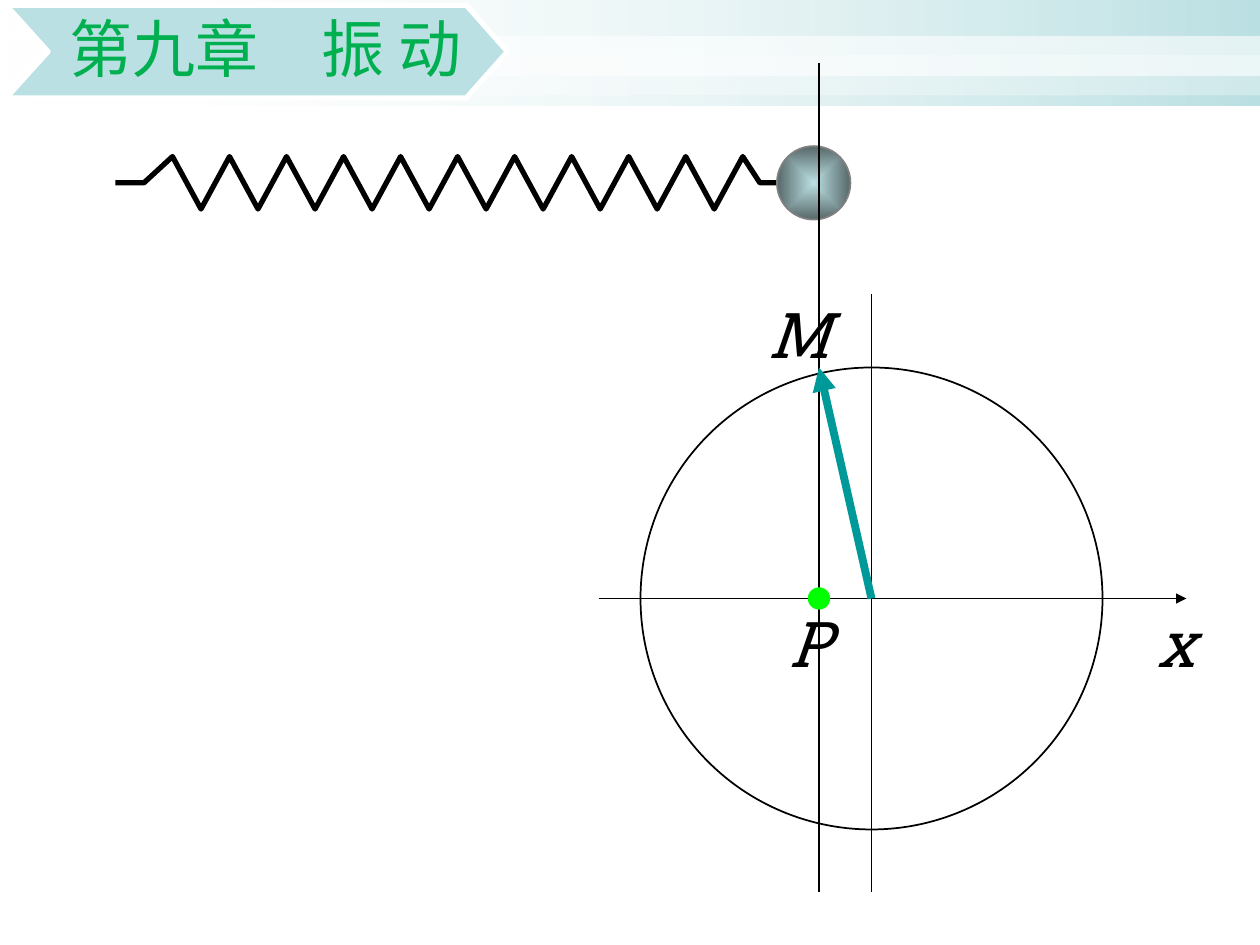
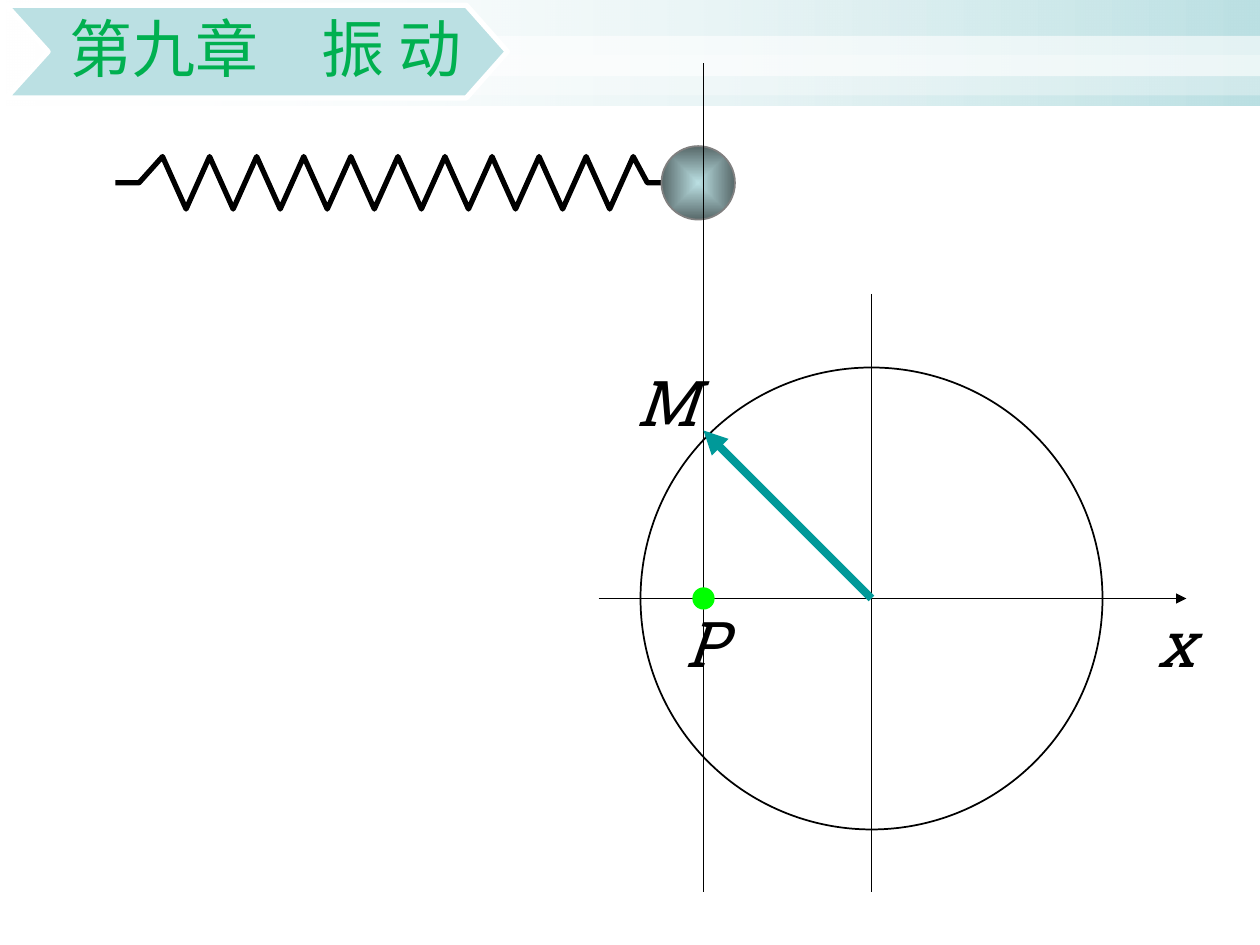
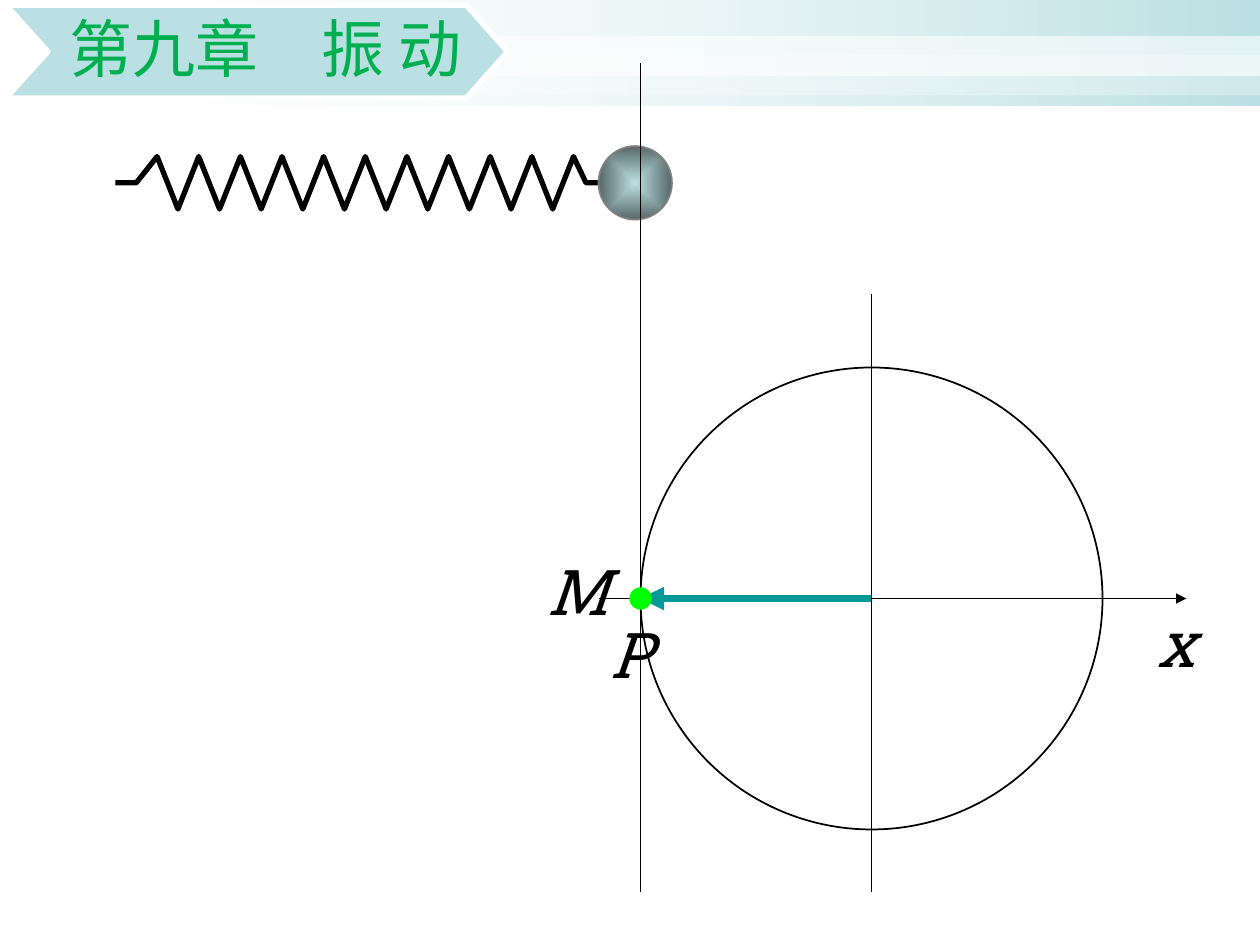
from dataclasses import dataclass

from lxml import etree
from pptx import Presentation
from pptx.dml.color import RGBColor as RGB
from pptx.enum.shapes import MSO_CONNECTOR as CONN, MSO_SHAPE as SHAPE
from pptx.enum.text import MSO_ANCHOR as ANCHOR, MSO_AUTO_SIZE as FIT, PP_ALIGN as ALIGN
from pptx.oxml.ns import qn
from pptx.util import Pt


@dataclass(frozen=True)
class Theme:
    black: RGB = RGB(0, 0, 0)
    white: RGB = RGB(255, 255, 255)
    pale: RGB = RGB.from_string("BBE0E3")
    ball_edge: RGB = RGB.from_string("576869")
    gray: RGB = RGB.from_string("808080")
    teal: RGB = RGB.from_string("009999")
    dot: RGB = RGB.from_string("00FF00")
    title: RGB = RGB.from_string("00B050")
    title_font: str = "Calibri"
    label_font: str = "Roboto Slab"
    size: int = 36
    thin: float = 1
    thick: float = 3
    vector: float = 4.5


@dataclass(frozen=True)
class Moment:
    """One instant of the motion: projection x, tip height and label corners."""
    x: float
    tip_y: float
    m_at: tuple
    p_at: tuple


CHAPTER = "第九章　振 动"
RIBBON = [(3.5, 3), (266.5, 3), (290, 29.5), (266.5, 56), (3.5, 56), (27.5, 29.5)]
CENTER_X, CENTER_Y, RADIUS = 498, 342, 132
AXIS_TOP, AXIS_BOTTOM = 168, 510
SPRING_X, SPRING_Y, SPRING_AMP = 66, 104.5, 15
BALL = 42
DOT = 12
MOMENTS = [
    Moment(468, 210, (432, 165.5), (444, 342)),
    Moment(402, 246, (356.5, 204), (384.5, 342)),
    Moment(366, 342, (306, 312), (342, 348)),
]


def set_alpha(fill_element, *percents):
    for clr, percent in zip(fill_element.iter(qn("a:srgbClr")), percents):
        etree.SubElement(clr, qn("a:alpha")).set("val", str(percent * 1000))


class Deck:
    def __init__(self, theme):
        self.t = theme
        self.prs = Presentation()
        self.prs.slide_width, self.prs.slide_height = Pt(720), Pt(540)
        self.layout = self.prs.slide_layouts[5]
        self.slide = None

    def new_slide(self):
        self.slide = self.prs.slides.add_slide(self.layout)

    def outline(self, sp, color=None, width=1):
        sp.shadow.inherit = False
        if color is None:
            sp.line.fill.background()
        else:
            sp.line.color.rgb = color
            sp.line.width = Pt(width)

    def shape(self, kind, x, y, w, h, fill=None, line=None, width=1):
        sp = self.slide.shapes.add_shape(kind, Pt(x), Pt(y), Pt(w), Pt(h))
        self.outline(sp, line, width)
        if fill is None:
            sp.fill.background()
        else:
            sp.fill.solid()
            sp.fill.fore_color.rgb = fill
        return sp

    def gradient(self, sp, first, last, radial=False):
        sp.fill.gradient()
        for stop, color in zip(sp.fill.gradient_stops, (first, last)):
            stop.color.rgb = color
        sp.fill.gradient_angle = 0
        grad = sp.element.spPr.find(qn("a:gradFill"))
        if radial:
            grad.remove(grad.find(qn("a:lin")))
            way = etree.SubElement(grad, qn("a:path"), path="rect")
            etree.SubElement(way, qn("a:fillToRect"), dict.fromkeys("ltrb", "50000"))
        return grad

    def outline_path(self, points, line, width, fill=None):
        """Draw a polyline, closed when it has a fill."""
        pts = [(Pt(x), Pt(y)) for x, y in points]
        builder = self.slide.shapes.build_freeform(*pts[0], scale=1.0)
        builder.add_line_segments(pts[1:], close=fill is not None)
        sp = builder.convert_to_shape()
        self.outline(sp, line, width)
        if fill is None:
            sp.fill.background()
        else:
            sp.fill.solid()
            sp.fill.fore_color.rgb = fill

    def line(self, x1, y1, x2, y2, color=None, width=None, arrow=False):
        cn = self.slide.shapes.add_connector(
            CONN.STRAIGHT, Pt(x1), Pt(y1), Pt(x2), Pt(y2))
        cn.line.color.rgb = color or self.t.black
        cn.line.width = Pt(width or self.t.thin)
        if arrow:
            etree.SubElement(cn.line._get_or_add_ln(), qn("a:tailEnd"), type="triangle")
        etree.SubElement(cn.element.spPr, qn("a:effectLst"))

    def run(self, p, text, font, color, italic=False):
        r = p.add_run()
        r.text = text
        r.font.name, r.font.size = font, Pt(self.t.size)
        r.font.color.rgb, r.font.italic = color, italic

    def label(self, text, x, y, w):
        tf = self.slide.shapes.add_textbox(Pt(x), Pt(y), Pt(w), Pt(50.5)).text_frame
        tf.word_wrap = False
        tf.auto_size = FIT.SHAPE_TO_FIT_TEXT
        self.run(tf.paragraphs[0], text, self.t.label_font, self.t.black, True)

    def title(self, text):
        self.outline_path(RIBBON, self.t.white, self.t.thick, self.t.pale)
        sp = self.slide.shapes.title
        self.slide.shapes._spTree.append(sp.element)
        sp.left, sp.top, sp.width, sp.height = Pt(3.5), Pt(3), Pt(286.5), Pt(53)
        tf = sp.text_frame
        tf.word_wrap, tf.auto_size = True, FIT.NONE
        tf.vertical_anchor = ANCHOR.MIDDLE
        tf.margin_left, tf.margin_right = Pt(30), Pt(26.5)
        tf.margin_top = tf.margin_bottom = Pt(2)
        p = tf.paragraphs[0]
        p.alignment, p.line_spacing = ALIGN.RIGHT, 0.9
        self.run(p, text, self.t.title_font, self.t.title)

    def bands(self):
        """Draw the header bands and move them to the shared layout."""
        header = self.shape(SHAPE.RECTANGLE, 0, 0, 720, 60.5)
        set_alpha(self.gradient(header, self.t.white, self.t.pale), 0, 100)
        bands = [header]
        for y, opacity in ((20.5, 60), (31.5, 31)):
            band = self.shape(SHAPE.RECTANGLE, 0, y, 720, 23, self.t.white)
            set_alpha(band.element.spPr, opacity)
            bands.append(band)
        for i, band in enumerate(bands):
            self.layout.shapes._spTree.insert(2 + i, band.element)

    def spring(self, end_x):
        pitch = (end_x - SPRING_X) / 23.2
        zigzag = [(k, SPRING_AMP if k % 2 else -SPRING_AMP) for k in range(2, 23)]
        steps = [(0, 0), (1, 0), *zigzag, (22.6, 0), (23.2, 0)]
        self.outline_path([(SPRING_X + k * pitch, SPRING_Y + dy) for k, dy in steps],
                          self.t.black, self.t.thick)

    def oscillator(self, x):
        ball_x = x - 24
        self.spring(ball_x)
        ball = self.shape(SHAPE.OVAL, ball_x, SPRING_Y - BALL / 2, BALL, BALL,
                          line=self.t.gray)
        self.gradient(ball, self.t.pale, self.t.ball_edge, radial=True)
        self.line(x, 36, x, AXIS_BOTTOM)

    def reference_circle(self):
        self.shape(SHAPE.OVAL, CENTER_X - RADIUS, CENTER_Y - RADIUS,
                   2 * RADIUS, 2 * RADIUS, line=self.t.black)
        self.line(342, CENTER_Y, 678, CENTER_Y, arrow=True)
        self.line(CENTER_X, AXIS_TOP, CENTER_X, AXIS_BOTTOM)
        self.label("x", 654.5, CENTER_Y, 34)

    def rotating_vector(self, moment):
        self.line(CENTER_X, CENTER_Y, moment.x, moment.tip_y,
                  self.t.teal, self.t.vector, arrow=True)
        self.label("M", *moment.m_at, 45.5)
        self.label("P", *moment.p_at, 36)
        self.shape(SHAPE.OVAL, moment.x - DOT / 2, CENTER_Y - DOT / 2, DOT, DOT,
                   self.t.dot, self.t.dot, 0.75)


def main():
    deck = Deck(Theme())
    for i, moment in enumerate(MOMENTS):
        deck.new_slide()
        if i == 0:
            deck.bands()
        deck.oscillator(moment.x)
        deck.reference_circle()
        deck.rotating_vector(moment)
        deck.title(CHAPTER)
    deck.prs.save("out.pptx")


if __name__ == "__main__":
    main()
